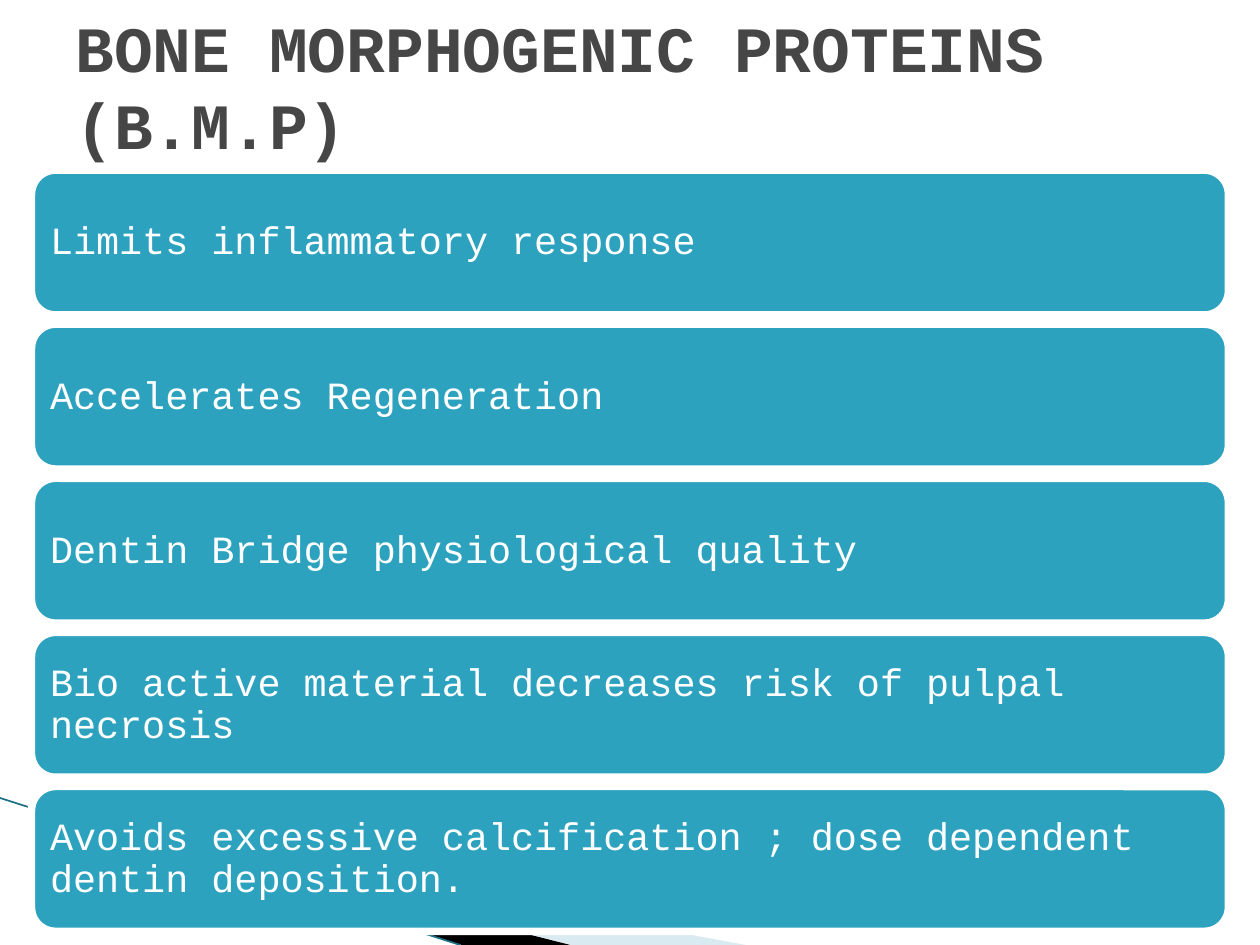
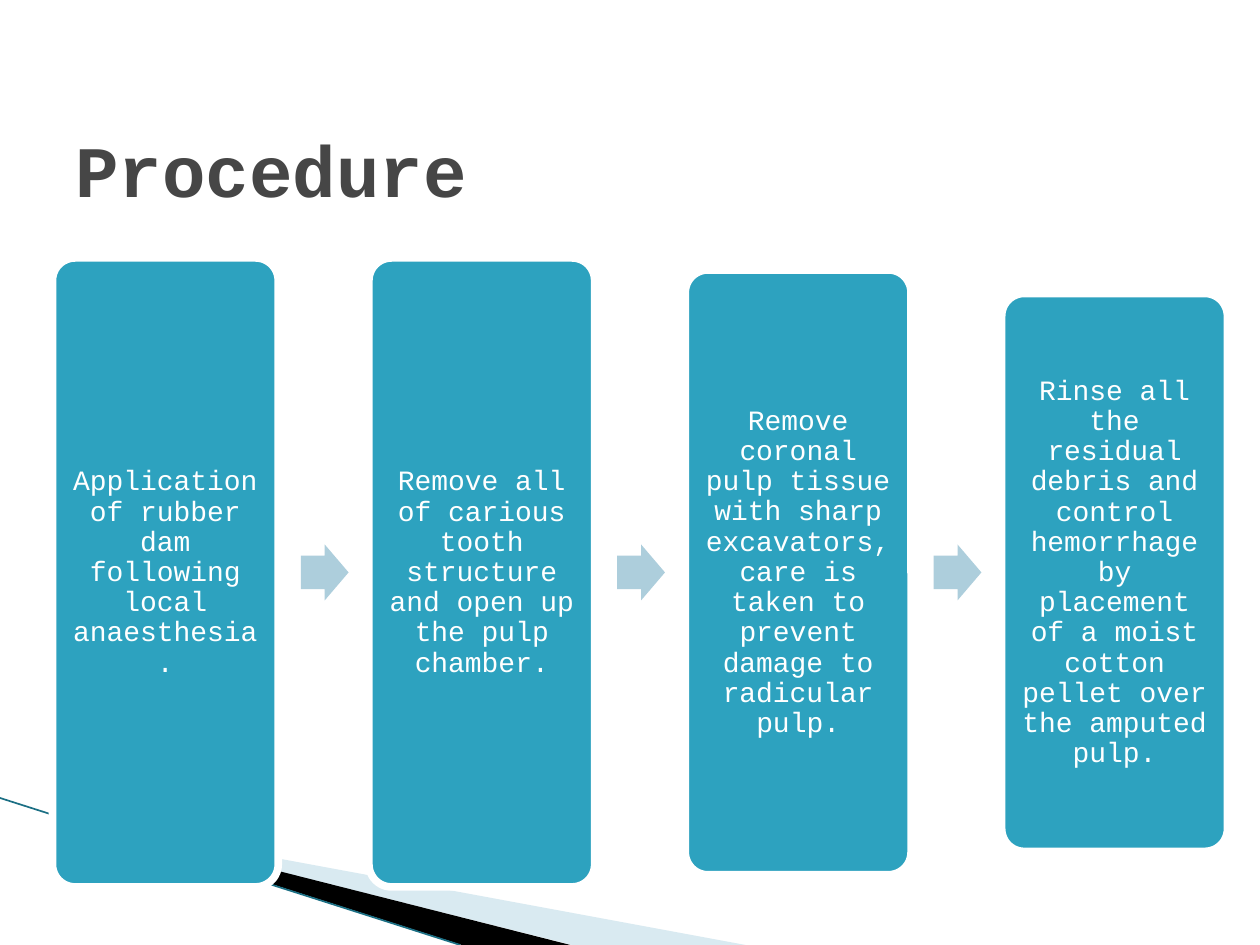
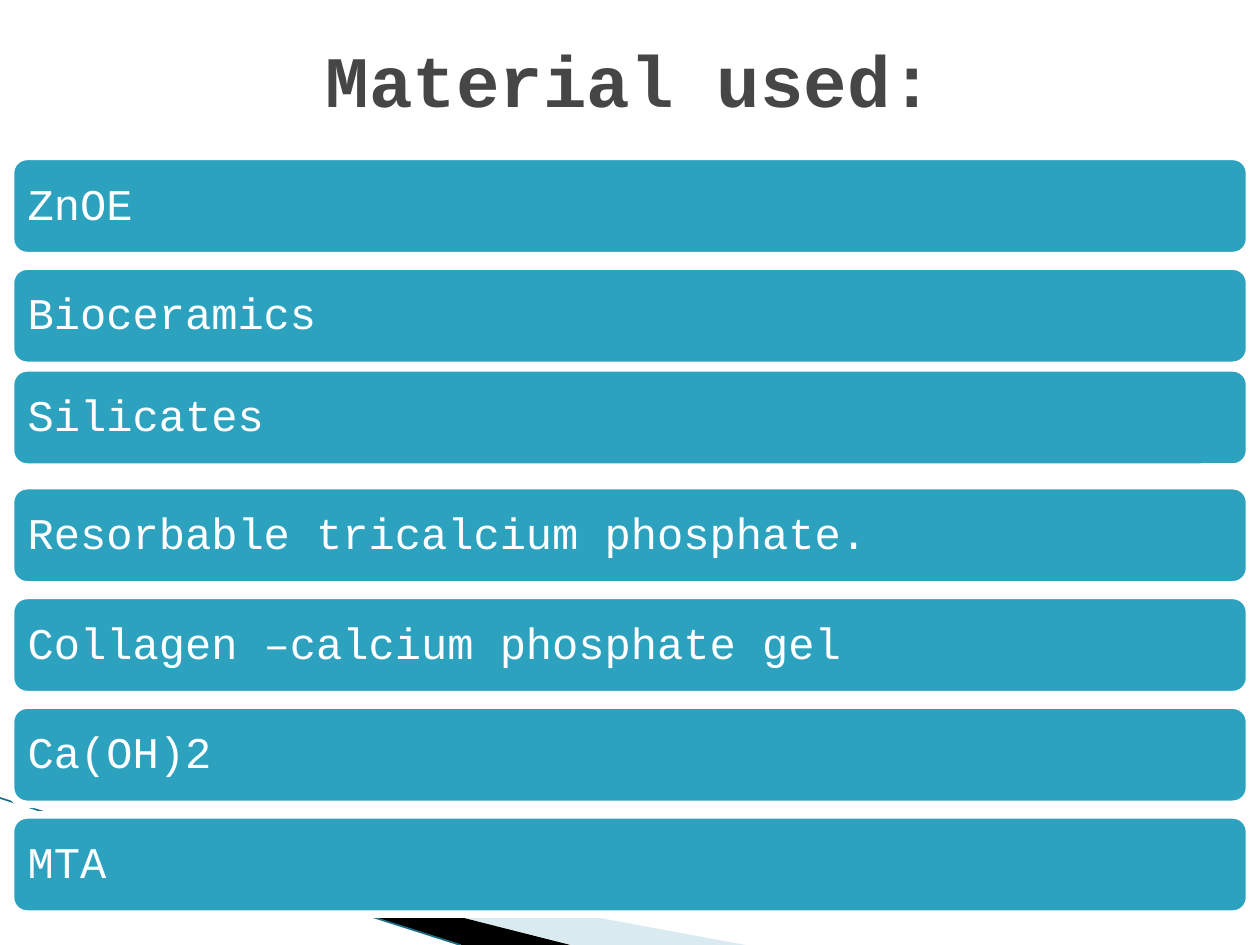
from collections import namedtuple
from dataclasses import dataclass

from lxml.etree import SubElement
from pptx import Presentation
from pptx.dml.color import RGBColor as RGB
from pptx.enum.shapes import MSO_CONNECTOR as Connector, MSO_SHAPE as Preset
from pptx.enum.text import MSO_ANCHOR as Anchor, PP_ALIGN as Align
from pptx.oxml.ns import qn
from pptx.util import Pt

Box = namedtuple("Box", "left top width height")


@dataclass(frozen=True)
class Theme:
    font: str = "Courier New"
    title_color: RGB = RGB(0x46, 0x46, 0x46)
    card: RGB = RGB(0x2D, 0xA2, 0xBF)
    white: RGB = RGB(0xFF, 0xFF, 0xFF)
    arrow: RGB = RGB(0xAD, 0xCE, 0xDC)
    pale_wedge: RGB = RGB(0xA0, 0xCB, 0xDC)
    dark_wedge: RGB = RGB(0, 0, 0)
    edge: RGB = RGB(0x1B, 0x6F, 0x84)
    card_border: float = 4.33
    title_size: float = 41.4
    long_title_size: float = 36.9
    title_leading: float = 44
    step_size: float = 16
    benefit_size: float = 22
    material_size: float = 25


THEME = Theme()


def points(*values):
    return [Pt(value) for value in values]


def write(shape, text, size, color, align, inset, bold=False):
    frame = shape.text_frame
    frame.text = text
    frame.word_wrap = True
    frame.vertical_anchor = Anchor.MIDDLE
    frame.margin_left = frame.margin_right = Pt(inset)
    frame.margin_top = frame.margin_bottom = Pt(0 if bold else inset)
    paragraph = frame.paragraphs[0]
    paragraph.alignment = align
    paragraph.line_spacing = Pt(THEME.title_leading) if bold else 0.9
    font = paragraph.runs[0].font
    font.name, font.size, font.bold = THEME.font, Pt(size), bold
    font.color.rgb = color
    return shape


def fill_shape(shape, color):
    shape.shadow.inherit = False
    shape.fill.solid()
    shape.fill.fore_color.rgb = color
    shape.line.fill.background()
    return shape


# Corner decoration shared by all slides
def add_wedge(slide, corners, color, alpha=None):
    start, *rest = [points(*corner) for corner in corners]
    builder = slide.shapes.build_freeform(*start, scale=1.0)
    builder.add_line_segments(rest, close=True)
    wedge = fill_shape(builder.convert_to_shape(), color)
    if alpha is not None:
        color_element = wedge.fill._xPr.find(".//" + qn("a:srgbClr"))
        SubElement(color_element, qn("a:alpha")).set("val", str(alpha * 1000))


def add_corner(slide):
    add_wedge(slide, [(39.6, 468.5), (426, 540), (327, 540), (39.6, 468)],
              THEME.pale_wedge, alpha=40)
    add_wedge(slide, [(38, 467), (326, 540), (264, 540), (39, 468)], THEME.dark_wedge)
    edge = slide.shapes.add_connector(Connector.STRAIGHT, *points(0, 456, 263, 540))
    edge.line.color.rgb = THEME.edge
    edge.line.width = Pt(0.95)
    SubElement(edge._element.spPr, qn("a:effectLst"))


def add_title(slide, box, text, size=THEME.title_size, align=Align.LEFT):
    title = slide.shapes.add_textbox(*points(*box))
    write(title, text, size, THEME.title_color, align, inset=7.2, bold=True)


def add_card(slide, box, text, size, align, inset, rounding=0.1667):
    card = slide.shapes.add_shape(Preset.ROUNDED_RECTANGLE, *points(*box))
    card.adjustments[0] = rounding
    fill_shape(card, THEME.card)
    card.line.color.rgb = THEME.white
    card.line.width = Pt(THEME.card_border)
    write(card, text, size, THEME.white, align, inset)


# Full-width cards, evenly stacked; shifts move single cards off the grid
def add_card_stack(slide, box, card_height, texts, size, inset, shifts=None):
    pitch = (box.height - card_height) / (len(texts) - 1)
    for index, text in enumerate(texts):
        top = box.top + index * pitch + (shifts or {}).get(index, 0)
        add_card(slide, Box(box.left, top, box.width, card_height),
                 text, size, Align.LEFT, inset)


# Step cards side by side, centred on one axis and joined by block arrows
def add_step_row(slide, box, card_width, steps):
    pitch = (box.width - card_width) / (len(steps) - 1)
    middle = box.top + box.height / 2
    arrow_width, arrow_height, arrow_gap = 27.3, 32, 12.9
    for index, (text, height) in enumerate(steps):
        left = box.left + index * pitch
        if index:
            arrow = slide.shapes.add_shape(Preset.RIGHT_ARROW, *points(
                left - pitch + card_width + arrow_gap, middle - arrow_height / 2,
                arrow_width, arrow_height))
            arrow.adjustments[0], arrow.adjustments[1] = 0.6, 0.5
            fill_shape(arrow, THEME.arrow)
        add_card(slide, Box(left, middle - height / 2, card_width, height),
                 text, THEME.step_size, Align.CENTER, inset=5, rounding=0.1)


def build_proteins(slide):
    add_title(slide, Box(36, 4, 648, 90), "BONE MORPHOGENIC PROTEINS (B.M.P)",
              THEME.long_title_size)
    add_card_stack(slide, Box(18, 97.2, 684, 435), 82.8, [
        "Limits inflammatory response",
        "Accelerates Regeneration",
        "Dentin Bridge physiological quality",
        "Bio active material decreases risk of pulpal necrosis",
        "Avoids excessive calcification ; dose dependent dentin deposition.",
    ], THEME.benefit_size, inset=6.6)


def build_procedure(slide):
    add_title(slide, Box(36, 74, 648, 50), "Procedure")
    add_step_row(slide, Box(30, 147.4, 671.4, 359.4), 129, [
        ("Application of rubber dam following local anaesthesia.", 359.4),
        ("Remove all of carious tooth structure and open up the pulp chamber.", 359.4),
        ("Remove coronal pulp tissue with sharp excavators, care is taken to "
         "prevent damage to radicular pulp.", 345.6),
        ("Rinse all the residual debris and control hemorrhage by placement of "
         "a moist cotton pellet over the amputed pulp.", 318.8),
    ])


def build_materials(slide):
    add_title(slide, Box(36, 23, 648, 50), "Material used:", align=Align.CENTER)
    add_card_stack(slide, Box(6, 89.4, 708, 433), 56.7, [
        "ZnOE",
        "Bioceramics",
        "Silicates",
        "Resorbable tricalcium phosphate.",
        "Collagen –calcium phosphate gel",
        "Ca(OH)2",
        "MTA",
    ], THEME.material_size, inset=7.2, shifts={2: -4.6})


def main():
    presentation = Presentation()
    presentation.slide_width, presentation.slide_height = points(720, 540)
    blank_layout = presentation.slide_layouts[6]
    for build in (build_proteins, build_procedure, build_materials):
        slide = presentation.slides.add_slide(blank_layout)
        add_corner(slide)
        build(slide)
    presentation.save("out.pptx")


if __name__ == "__main__":
    main()
